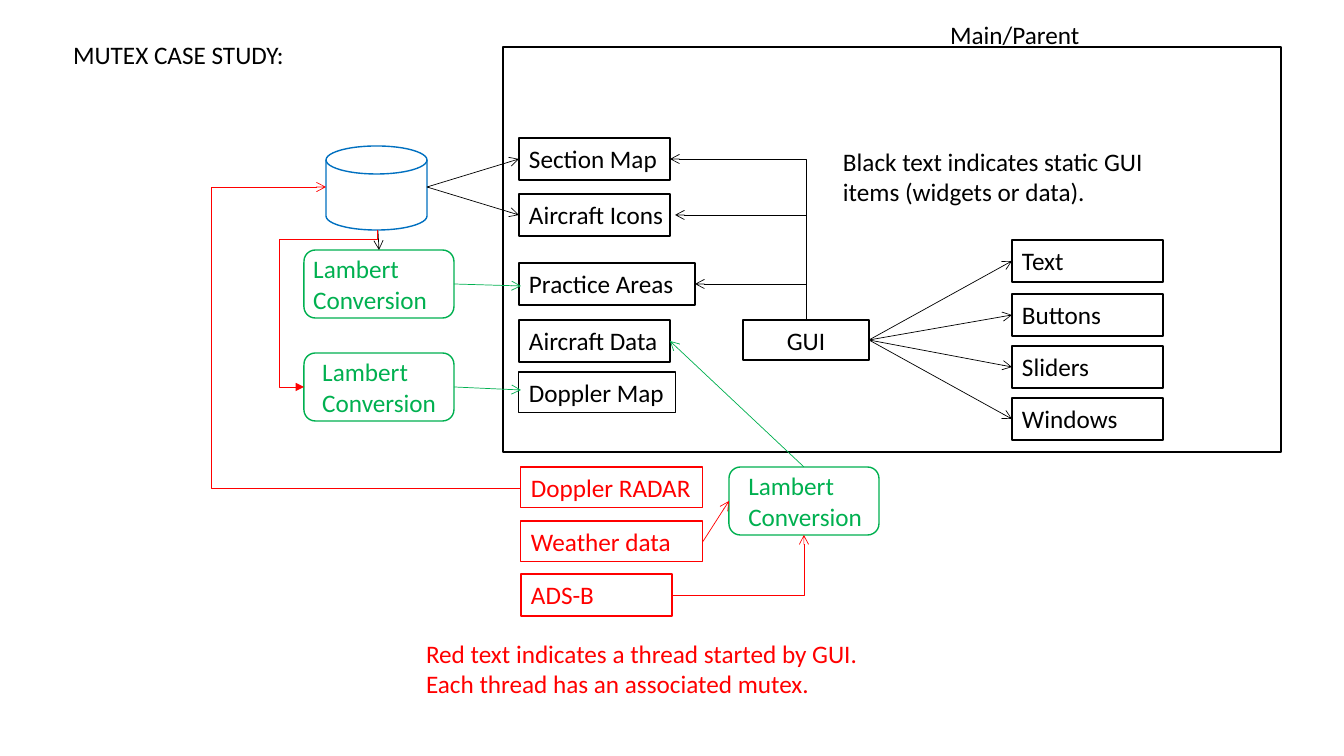
from pptx import Presentation, util as u
from pptx.dml.color import RGBColor
from pptx.enum import shapes, text
from pptx.oxml.ns import qn
from lxml import etree

BLACK, RED, GREEN, BLUE = "000000", "FF0000", "00B050", "0070C0"
TOP, LEFT, BOTTOM, RIGHT = range(4)
RECT = shapes.MSO_SHAPE.RECTANGLE
ROUND = shapes.MSO_SHAPE.ROUNDED_RECTANGLE
DISK = shapes.MSO_SHAPE.FLOWCHART_MAGNETIC_DISK

NOTES = [
    ("MUTEX CASE STUDY:", 63, 34, 233, 40, BLACK),
    ("Main/Parent", 940, 14, 358, 40, BLACK),
    ("Black text indicates static GUI items (widgets or data).", 833, 141, 358, 71, BLACK),
    ("Red text indicates a thread started by GUI.\nEach thread has an associated mutex.",
     416, 633, 463, 71, RED),
]
FRAME = (503, 47, 778, 405, BLACK)
DATABASE = (326, 146, 101, 84, BLUE)
BOXES = [
    ("Section Map", 519, 138, 151, 42, BLACK, 1),
    ("Aircraft Icons", 519, 194, 151, 42, BLACK, 1),
    ("Practice Areas", 519, 263, 176, 42, BLACK, 1),
    ("Aircraft Data", 519, 320, 151, 42, BLACK, 1),
    ("Doppler Map", 519, 372, 157, 41, BLACK, 0.75),
    ("GUI", 743, 320, 126, 40, BLACK, 1),
    ("Text", 1012, 240, 151, 42, BLACK, 1),
    ("Buttons", 1012, 294, 151, 42, BLACK, 1),
    ("Sliders", 1012, 346, 151, 42, BLACK, 1),
    ("Windows", 1012, 398, 151, 42, BLACK, 1),
    ("Doppler RADAR", 521, 467, 182, 41, RED, 0.75),
    ("Weather data", 521, 521, 182, 41, RED, 0.75),
    ("ADS-B", 521, 574, 151, 42, RED, 1),
]
CONVERSIONS = [("Practice", 304, 250, 6), ("Doppler", 304, 353, 15), ("Aircraft", 729, 467, 16)]
ARROWS = [
    ((427, 187), ("Section Map", LEFT), BLACK),
    ((427, 187), ("Aircraft Icons", LEFT), BLACK),
    ((378, 231), ("Practice", TOP), BLACK),
    (("Practice", RIGHT), (521, 286), GREEN),
    (("Doppler", RIGHT), (521, 390), GREEN),
    (("Aircraft", TOP), ("Aircraft Data", RIGHT), GREEN),
    (("Weather data", RIGHT), ("Aircraft", LEFT), RED),
] + [(("GUI", RIGHT), (name, LEFT), BLACK) for name in ("Text", "Buttons", "Sliders", "Windows")]
ELBOWS = [
    ((806, 320), (670, 159), BLACK, "bentConnector2", 270, [], "tailEnd", "arrow"),
    ((806, 320), (675, 215), BLACK, "bentConnector2", 270, [], "tailEnd", "arrow"),
    ((806, 320), (695, 284), BLACK, "bentConnector2", 270, [], "tailEnd", "arrow"),
    ((672, 595), (804, 535), RED, "bentConnector2", 0, [], "tailEnd", "arrow"),
    ((326, 187), (521, 488), RED, "bentConnector3", 0, [-0.59], "headEnd", "arrow"),
    ((377, 230), (304, 387), RED, "bentConnector4", 90, [0.06, 1.34], "tailEnd", "triangle"),
]


def px(n):
    return u.Emu(round(n * 914400 / 100.8))


def rgb(color):
    return RGBColor.from_string(color)


def write(sp, words, color, inset=10, middle=False, align=text.PP_ALIGN.LEFT):
    tf = sp.text_frame
    tf.word_wrap = True
    tf.margin_left, tf.margin_right = px(inset), 0
    tf.vertical_anchor = text.MSO_ANCHOR.MIDDLE if middle else text.MSO_ANCHOR.TOP
    tf.text = words
    for p in tf.paragraphs:
        p.alignment = align
        p.font.name, p.font.size = "Calibri", u.Pt(18)
        p.font.color.rgb = rgb(color)


def outline(s, kind, x, y, w, h, color, weight=1):
    sp = s.shapes.add_shape(kind, px(x), px(y), px(w), px(h))
    sp.shadow.inherit = False
    sp.fill.background()
    sp.line.color.rgb = rgb(color)
    sp.line.width = u.Pt(weight)
    return sp


def connect(s, kind, start, end, color, where="tailEnd", head="arrow"):
    c = s.shapes.add_connector(kind, *map(px, start + end))
    c.line.color.rgb = rgb(color)
    c.line.width = u.Pt(0.5)
    sppr = c._element.spPr
    etree.SubElement(sppr.find(qn("a:ln")), qn("a:" + where), type=head)
    etree.SubElement(sppr, qn("a:effectLst"))
    return c


def bend(c, preset, turn, adjusts):
    geom = c._element.spPr.find(qn("a:prstGeom"))
    geom.set("prst", preset)
    guides = geom.find(qn("a:avLst"))
    for i, value in enumerate(adjusts, 1):
        etree.SubElement(guides, qn("a:gd"), name=f"adj{i}", fmla=f"val {round(value * 100000)}")
    if turn:
        x, y, w, h = c.left, c.top, c.width, c.height
        c.left, c.top = x + (w - h) // 2, y + (h - w) // 2
        c.width, c.height = h, w
        xfrm = c._element.spPr.find(qn("a:xfrm"))
        for flip in ("flipH", "flipV"):
            xfrm.attrib.pop(flip, None)
        xfrm.set("rot", str(turn * 60000))
        if turn == 270:
            xfrm.set("flipV", "1")


def main():
    """Build the mutex case study slide."""
    prs = Presentation()
    prs.slide_width, prs.slide_height = px(1344), px(756)
    s = prs.slides.add_slide(prs.slide_layouts[6])
    for words, x, y, w, h, color in NOTES:
        write(s.shapes.add_textbox(px(x), px(y), px(w), px(h)), words, color)
    outline(s, RECT, *FRAME)
    outline(s, DISK, *DATABASE)
    placed = {}
    for words, *box, color, weight in BOXES:
        sp = placed[words] = outline(s, RECT, *box, color, weight)
        centred = words == "GUI"
        write(sp, words, color, 0 if centred else 10,
              align=text.PP_ALIGN.CENTER if centred else text.PP_ALIGN.LEFT)
    for name, x, y, inset in CONVERSIONS:
        sp = placed[name] = outline(s, ROUND, x, y, 150, 68, GREEN)
        write(sp, "Lambert\nConversion", GREEN, inset, middle=True)
    for start, end, color in ARROWS:
        ends = [e if isinstance(e[0], int) else (0, 0) for e in (start, end)]
        c = connect(s, shapes.MSO_CONNECTOR.STRAIGHT, *ends, color)
        for e, join in ((start, c.begin_connect), (end, c.end_connect)):
            if isinstance(e[0], str):
                join(placed[e[0]], e[1])
    for start, end, color, preset, turn, adjusts, where, head in ELBOWS:
        c = connect(s, shapes.MSO_CONNECTOR.ELBOW, start, end, color, where, head)
        bend(c, preset, turn, adjusts)
    prs.save("out.pptx")


if __name__ == "__main__":
    main()
